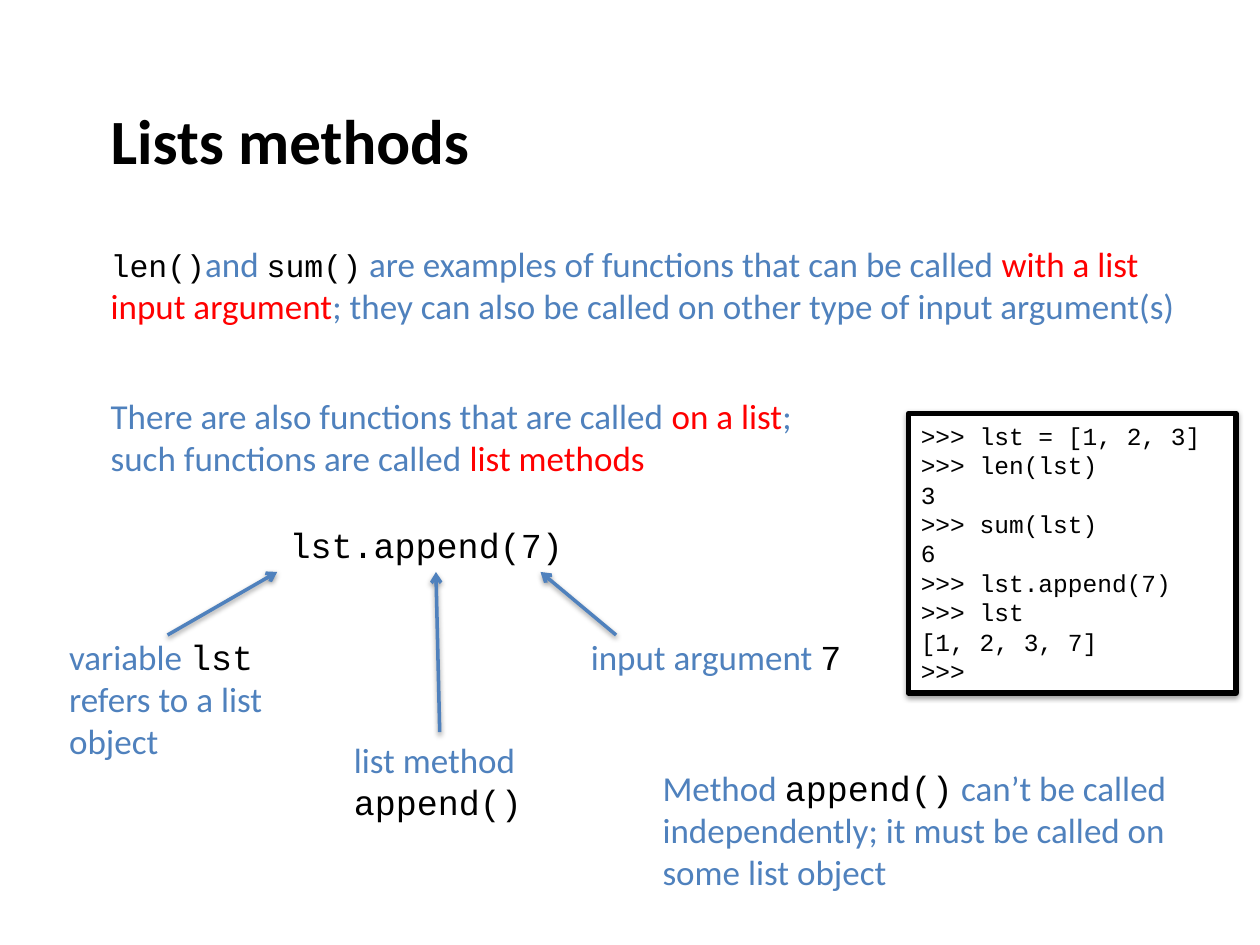
from dataclasses import dataclass

from lxml import etree
from pptx import Presentation
from pptx.dml.color import RGBColor
from pptx.enum.shapes import MSO_CONNECTOR, MSO_SHAPE
from pptx.enum.text import MSO_ANCHOR, MSO_AUTO_SIZE, PP_ALIGN
from pptx.oxml import parse_xml
from pptx.oxml.ns import nsdecls, qn
from pptx.util import Inches, Pt


@dataclass(frozen=True)
class Theme:
    """Colours, line widths and type styles of the slide."""
    ink = RGBColor(0x00, 0x00, 0x00)
    paper = RGBColor(0xFF, 0xFF, 0xFF)
    blue = RGBColor(0x4F, 0x81, 0xBD)
    red = RGBColor(0xFF, 0x00, 0x00)
    arrow_width = Pt(2)
    frame_width = Pt(3)
    # role: (typeface, size, colour, bold)
    styles = {
        "title": ("Calibri", 36, ink, True),
        "prose": ("Calibri", 20, blue, False),
        "key": ("Calibri", 20, red, False),
        "code": ("Courier New", 20, ink, False),
        "inline": ("Courier New", 18, ink, False),
        "session": ("Courier New", 14, ink, False),
    }


THEME = Theme()
WIDTH, HEIGHT = Inches(10), Inches(7.5)

# Places are percentages of the slide's width and height.
MARGIN = 7.8
LABEL_TOP = 66.53
METHOD_TOP = 77.47
TIP = 60.53
TAIL = 67.2

TITLE = [[("Lists methods", "title")]]
TITLE_PLACE = (MARGIN, 0, 85, 21.47)
TITLE_DROP = Inches(0.65)

# (left, top, width, height), wraps, paragraphs of (text, role)
TEXTS = [
    ((MARGIN, 24.93, 88.6, 10.27), True, [
        [("len()", "inline"), ("and ", "prose"), ("sum()", "inline"),
         (" are examples of functions that can be called ", "prose"),
         ("with a list input argument", "key"),
         ("; they can also be called on other type of input argument(s)", "prose")]]),
    ((MARGIN, 41.07, 62.6, 10.27), True, [
        [("There are also functions that are called ", "prose"),
         ("on a list", "key"), (";", "prose")],
        [("such functions are called ", "prose"), ("list methods", "key")]]),
    ((22, 54.67, 23.9, 5.87), False, [[("lst.append(7)", "code")]]),
    ((4.5, LABEL_TOP, 17.5, 14.8), True, [
        [("variable ", "prose"), ("lst ", "code"),
         ("refers to a list object", "prose")]]),
    ((45.9, LABEL_TOP, 22.1, 5.87), False, [
        [("input argument ", "prose"), ("7", "code")]]),
    ((27.1, METHOD_TOP, 15.5, 10.27), False, [
        [("list method", "prose")], [("append()", "code")]]),
    ((51.6, 80.4, 44.8, 14.8), True, [
        [("Method ", "prose"), ("append()", "code"),
         (" can’t be called independently; it must be called on some list object",
          "prose")]]),
]

# (label x, label y, code x)
ARROWS = [(13.3, TAIL, 22), (34.9, METHOD_TOP, 34.6), (48.9, TAIL, 42.9)]

SESSION_PLACE = (72.1, 43.73, 26, 29.6)
SESSION = [
    ">>> lst = [1, 2, 3]", ">>> len(lst)", "3", ">>> sum(lst)", "6",
    ">>> lst.append(7)", ">>> lst", "[1, 2, 3, 7]", ">>>",
]


def across(share):
    """Turn a percentage of the width into a length."""
    return round(WIDTH * share / 100)


def down(share):
    """Turn a percentage of the height into a length."""
    return round(HEIGHT * share / 100)


def box(place):
    """Turn a place in percentages into left, top, width, height."""
    left, top, width, height = place
    return across(left), down(top), across(width), down(height)


def style(font, role):
    """Give a font the typeface, size, colour and weight of a role."""
    font.name, size, font.color.rgb, font.bold = THEME.styles[role]
    font.size = Pt(size)


def write(shape, paragraphs, wraps=True, grows=True):
    """Fill a shape with left-aligned, vertically centred paragraphs."""
    frame = shape.text_frame
    frame.word_wrap = wraps
    frame.vertical_anchor = MSO_ANCHOR.MIDDLE
    frame.auto_size = MSO_AUTO_SIZE.SHAPE_TO_FIT_TEXT if grows else MSO_AUTO_SIZE.NONE
    for index, segments in enumerate(paragraphs):
        paragraph = frame.add_paragraph() if index else frame.paragraphs[0]
        paragraph.alignment = PP_ALIGN.LEFT
        uniform = len({role for _, role in segments}) == 1
        if uniform:
            style(paragraph.font, segments[0][1])
        for text, role in segments:
            run = paragraph.add_run()
            run.text = text
            if not uniform:
                style(run.font, role)


def add_shadow(shape):
    """Cast a soft shadow straight down."""
    shape._element.spPr.append(parse_xml(
        f'<a:effectLst {nsdecls("a")}>'
        f'<a:outerShdw blurRad="{Pt(3.1)}" dist="{Pt(1.6)}" dir="5400000" rotWithShape="0">'
        '<a:srgbClr val="000000"><a:alpha val="38000"/></a:srgbClr>'
        '</a:outerShdw></a:effectLst>'))


def add_arrow(slide, label_x, label_y, code_x):
    """Point from a label up to its part of the method call."""
    arrow = slide.shapes.add_connector(
        MSO_CONNECTOR.STRAIGHT,
        across(label_x), down(label_y), across(code_x), down(TIP))
    arrow.line.color.rgb = THEME.blue
    arrow.line.width = THEME.arrow_width
    etree.SubElement(arrow.line._get_or_add_ln(), qn("a:tailEnd"), type="arrow")
    add_shadow(arrow)


def add_session(slide):
    """Draw the framed interpreter session."""
    panel = slide.shapes.add_shape(MSO_SHAPE.RECTANGLE, *box(SESSION_PLACE))
    panel.fill.solid()
    panel.fill.fore_color.rgb = THEME.paper
    panel.line.color.rgb = THEME.ink
    panel.line.width = THEME.frame_width
    add_shadow(panel)
    write(panel, [[(line, "session")] for line in SESSION])


def build():
    """Build and save the slide."""
    deck = Presentation()
    deck.slide_width, deck.slide_height = WIDTH, HEIGHT
    slide = deck.slides.add_slide(deck.slide_layouts[6])
    heading = slide.shapes.add_textbox(*box(TITLE_PLACE))
    heading.text_frame.margin_top = TITLE_DROP
    write(heading, TITLE, grows=False)
    for place, wraps, paragraphs in TEXTS:
        write(slide.shapes.add_textbox(*box(place)), paragraphs, wraps)
    for arrow in ARROWS:
        add_arrow(slide, *arrow)
    add_session(slide)
    deck.save("out.pptx")


build()
